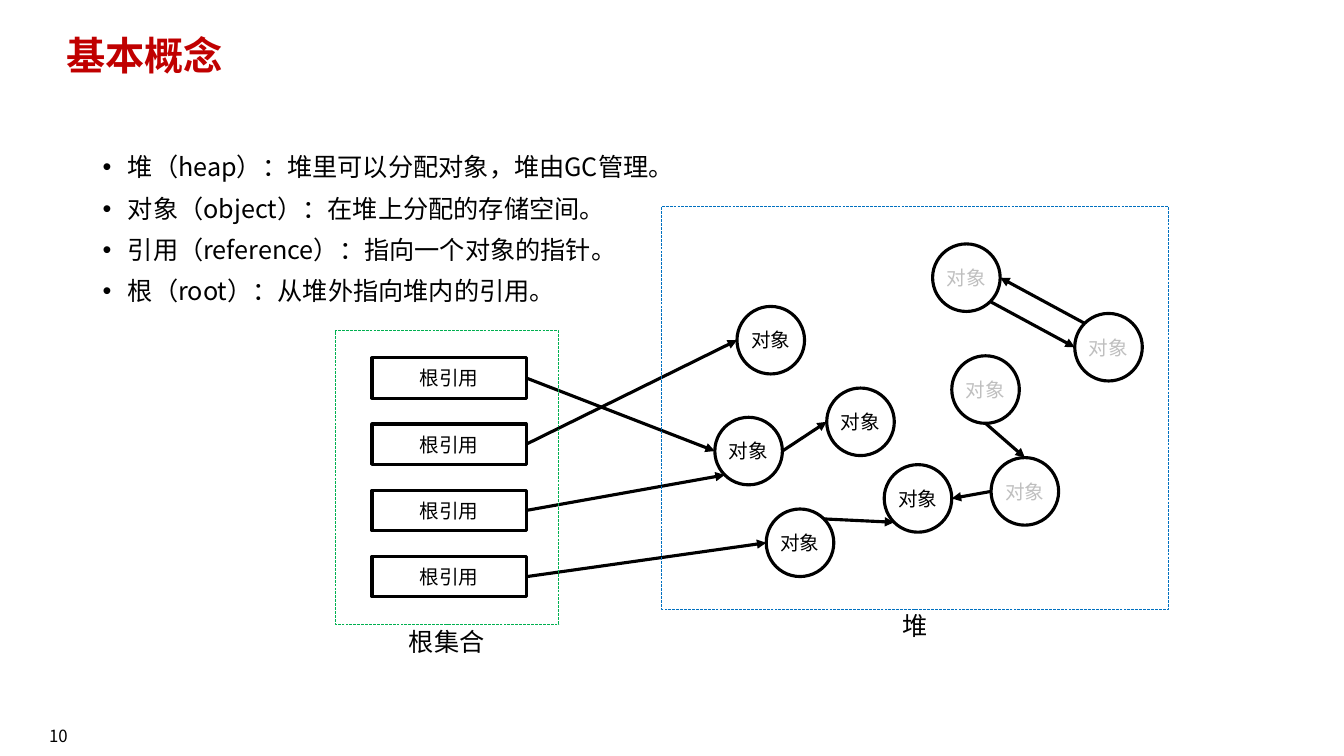
import math
from dataclasses import dataclass

import pptx
import pptx.util
import pptx.dml.color
import pptx.enum.dml
import pptx.enum.shapes
import pptx.enum.text
import pptx.oxml.ns
from lxml import etree

Inches = pptx.util.Inches
Pt = pptx.util.Pt
Shape = pptx.enum.shapes.MSO_SHAPE
Align = pptx.enum.text.PP_ALIGN
Anchor = pptx.enum.text.MSO_ANCHOR


@dataclass(frozen=True)
class Theme:
    font: str = "Noto Sans CJK SC"
    title: str = "C00000"
    ink: str = "000000"
    faded: str = "BFBFBF"
    paper: str = "FFFFFF"
    root_frame: str = "00B050"
    heap_frame: str = "0070C0"
    title_size: float = 28
    body_size: float = 18
    node_size: float = 14
    number_size: float = 12
    stroke: float = 2.25
    frame_stroke: float = 0.25


def rgb(value):
    return pptx.dml.color.RGBColor.from_string(value)


def add_element(parent, tag, **attributes):
    return etree.SubElement(parent, pptx.oxml.ns.qn(tag), attributes)


def write(para, text, *, font, size, color, bold=False, align=Align.LEFT):
    """Add one formatted span to a paragraph."""
    para.alignment = align
    span = para.add_run()
    span.text = text
    span.font.name = font
    span.font.size = Pt(size)
    span.font.bold = bold
    span.font.color.rgb = rgb(color)
    add_element(span.font._element, "a:ea", typeface=font)


class Page:
    def __init__(self, deck, theme):
        self.theme = theme
        self.slide = deck.slides.add_slide(deck.slide_layouts[5])
        self.shapes = self.slide.shapes

    def frame_text(self, box, anchor=Anchor.TOP, inset=None):
        frame = box.text_frame
        frame.word_wrap = True
        frame.auto_size = pptx.enum.text.MSO_AUTO_SIZE.NONE
        frame.vertical_anchor = anchor
        if inset is not None:
            frame.margin_left = frame.margin_right = Inches(inset)
            frame.margin_top = frame.margin_bottom = Inches(inset)
        return frame

    def title(self, text, left, top, width, height):
        box = self.shapes.title
        box.left, box.top = Inches(left), Inches(top)
        box.width, box.height = Inches(width), Inches(height)
        para = self.frame_text(box).paragraphs[0]
        para.line_spacing = 0.9
        write(para, text, font=self.theme.font, size=self.theme.title_size,
              color=self.theme.title, bold=True)

    def bullets(self, lines, left, top, width, height):
        box = self.shapes.add_textbox(*map(Inches, (left, top, width, height)))
        frame = self.frame_text(box)
        for index, line in enumerate(lines):
            para = frame.add_paragraph() if index else frame.paragraphs[0]
            para.line_spacing = 0.9
            para.space_before = Pt(10 if index else 0)
            properties = para._p.get_or_add_pPr()
            properties.set("marL", str(Inches(0.25)))
            properties.set("indent", str(-Inches(0.25)))
            add_element(properties, "a:buFont", typeface="Arial")
            add_element(properties, "a:buChar", char="•")
            write(para, line, font=self.theme.font, size=self.theme.body_size,
                  color=self.theme.ink)

    def label(self, text, left, top, width, height, size, anchor=Anchor.TOP):
        box = self.shapes.add_textbox(*map(Inches, (left, top, width, height)))
        frame = self.frame_text(box, anchor, inset=0)
        write(frame.paragraphs[0], text, font=self.theme.font, size=size,
              color=self.theme.ink, align=Align.CENTER)

    def node(self, kind, text, left, top, width, height, color):
        box = self.shapes.add_shape(kind, *map(Inches, (left, top, width, height)))
        box.shadow.inherit = False
        box.fill.solid()
        box.fill.fore_color.rgb = rgb(self.theme.paper)
        box.line.color.rgb = rgb(self.theme.ink)
        box.line.width = Pt(self.theme.stroke)
        frame = self.frame_text(box, Anchor.MIDDLE, inset=0)
        write(frame.paragraphs[0], text, font=self.theme.font,
              size=self.theme.node_size, color=color, align=Align.CENTER)

    def region(self, text, left, top, width, height, color):
        """Draw a dashed frame with its caption underneath."""
        box = self.shapes.add_shape(Shape.RECTANGLE,
                                    *map(Inches, (left, top, width, height)))
        box.shadow.inherit = False
        box.fill.background()
        box.line.color.rgb = rgb(color)
        box.line.width = Pt(self.theme.frame_stroke)
        box.line.dash_style = pptx.enum.dml.MSO_LINE.LONG_DASH
        self.label(text, left, top + height + 0.02, width, 0.3, self.theme.body_size)

    def arrow(self, start, end):
        line = self.shapes.add_connector(pptx.enum.shapes.MSO_CONNECTOR.STRAIGHT,
                                         *map(Inches, (*start, *end)))
        line.line.color.rgb = rgb(self.theme.ink)
        line.line.width = Pt(self.theme.stroke)
        add_element(line.line._get_or_add_ln(), "a:tailEnd", type="triangle")
        add_element(line._element.spPr, "a:effectLst")


# Diagram geometry
ROOT_LEFT, ROOT_TOP, ROOT_WIDTH, ROOT_HEIGHT = 3.69, 3.55, 1.53, 0.4
ROOT_STEP = 0.657
DIAMETER = 0.67

# Name: left, top, reachable from a root
OBJECTS = {
    "shared": (7.09, 4.14, True),
    "middle": (8.77, 4.61, True),
    "child": (8.2, 3.85, True),
    "cycle_a": (9.25, 2.42, False),
    "dead_end": (9.83, 4.54, False),
    "upper": (7.31, 3.04, True),
    "lower": (7.6, 5.05, True),
    "cycle_b": (10.66, 3.11, False),
    "dead_start": (9.44, 3.53, False),
}

# Rim positions in degrees, clockwise from the right
RIM = {"right": 0, "bottom right": 45, "bottom": 90, "bottom left": 135,
       "left": 180, "top left": 225, "top": 270, "top right": 315}

# Target of each root, from top to bottom
ROOT_TARGETS = [("shared", "left"), ("upper", "left"),
                ("shared", "bottom left"), ("lower", "left")]

REFERENCES = [
    (("lower", "top right"), ("middle", "bottom left")),
    (("shared", "right"), ("child", "left")),
    (("dead_end", "left"), ("middle", "right")),
    (("cycle_a", "bottom right"), ("cycle_b", "left")),
    (("dead_start", "bottom"), ("dead_end", "top")),
    (("cycle_b", "top left"), ("cycle_a", "right")),
]


def rim_point(name, side):
    left, top, _ = OBJECTS[name]
    radius, angle = DIAMETER / 2, math.radians(RIM[side])
    return (left + radius * (1 + math.cos(angle)),
            top + radius * (1 + math.sin(angle)))


def main():
    deck = pptx.Presentation()
    deck.slide_width, deck.slide_height = Inches(13.33), Inches(7.5)
    theme = Theme()
    page = Page(deck, theme)

    # Title, definitions and page number
    page.title("基本概念", 0.56, 0.31, 11.5, 0.65)
    page.bullets(["堆（heap）：堆里可以分配对象，堆由GC管理。",
                  "对象（object）：在堆上分配的存储空间。",
                  "引用（reference）：指向一个对象的指针。",
                  "根（root）：从堆外指向堆内的引用。"], 0.92, 1.49, 11.5, 4.76)
    page.label("10", 0, 7.1, 1.16, 0.4, theme.number_size, Anchor.MIDDLE)

    # Heap objects
    for left, top, reachable in OBJECTS.values():
        page.node(Shape.OVAL, "对象", left, top, DIAMETER, DIAMETER,
                  theme.ink if reachable else theme.faded)

    # Roots and their references
    for row, target in enumerate(ROOT_TARGETS):
        top = ROOT_TOP + row * ROOT_STEP
        page.node(Shape.RECTANGLE, "根引用", ROOT_LEFT, top, ROOT_WIDTH,
                  ROOT_HEIGHT, theme.ink)
        page.arrow((ROOT_LEFT + ROOT_WIDTH, top + ROOT_HEIGHT / 2),
                   rim_point(*target))

    # References between objects
    for source, target in REFERENCES:
        page.arrow(rim_point(*source), rim_point(*target))

    # Root set and heap frames
    page.region("根集合", 3.32, 3.28, 2.22, 2.91, theme.root_frame)
    page.region("堆", 6.56, 2.05, 5.03, 3.99, theme.heap_frame)

    deck.save("out.pptx")


if __name__ == "__main__":
    main()
